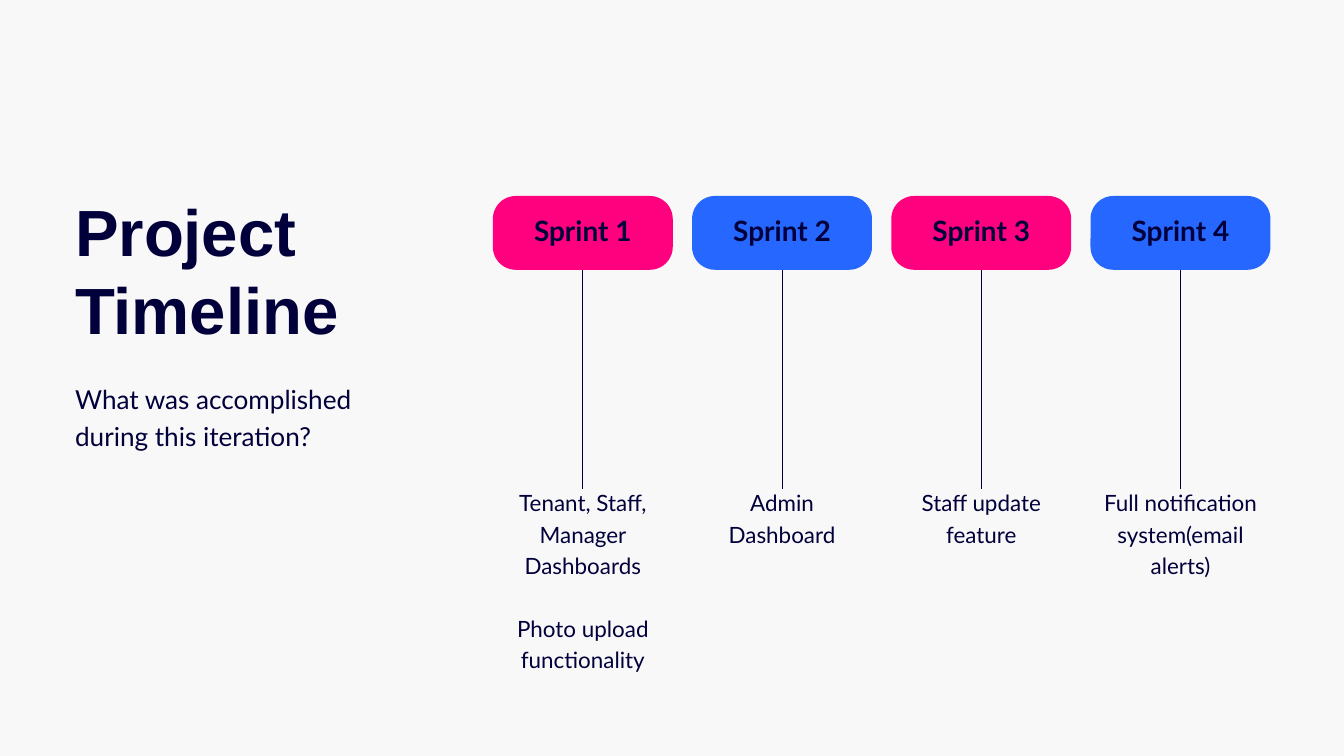
from lxml import etree
from pptx import Presentation
from pptx.dml.color import RGBColor
from pptx.enum.shapes import MSO_CONNECTOR, MSO_SHAPE
from pptx.enum.text import MSO_ANCHOR, PP_ALIGN
from pptx.oxml.ns import qn
from pptx.util import Cm, Pt

ROUNDED = MSO_SHAPE.ROUNDED_RECTANGLE
STRAIGHT = MSO_CONNECTOR.STRAIGHT
LEFT, CENTER = PP_ALIGN.LEFT, PP_ALIGN.CENTER
TOP, MIDDLE = MSO_ANCHOR.TOP, MSO_ANCHOR.MIDDLE

BACKGROUND = RGBColor(0xF8, 0xF8, 0xF8)
NAVY = RGBColor(0x01, 0x00, 0x3B)
PINK = RGBColor(0xFF, 0x00, 0x7E)
BLUE = RGBColor(0x26, 0x67, 0xFF)

TITLE = "Project Timeline"
SUBTITLE = "What was accomplished during this iteration?"
SPRINTS = [
    ("Sprint 1", PINK, ["Tenant, Staff, Manager Dashboards", "Photo upload functionality"]),
    ("Sprint 2", BLUE, ["Admin Dashboard"]),
    ("Sprint 3", PINK, ["Staff update feature"]),
    ("Sprint 4", BLUE, ["Full notification system(email alerts)"]),
]

FIRST_CENTER, PITCH = 22.03, 7.53
BADGE_TOP, BADGE_WIDTH, BADGE_HEIGHT = 7.41, 6.8, 2.79
LINE_END = 18.47
DETAIL_TOP, DETAIL_WIDTH, DETAIL_HEIGHT = 18.34, 6.05, 6.96


def write_text(shape, paragraphs, size, spacing, font="Lato", bold=False,
               align=LEFT, anchor=TOP, gap=0, insets=(0, 0, 0, 0)):
    frame = shape.text_frame
    frame.word_wrap = True
    frame.vertical_anchor = anchor
    (frame.margin_left, frame.margin_top,
     frame.margin_right, frame.margin_bottom) = [Cm(inset) for inset in insets]
    for index, text in enumerate(paragraphs):
        paragraph = frame.add_paragraph() if index else frame.paragraphs[0]
        paragraph.alignment = align
        paragraph.line_spacing = Pt(spacing)
        paragraph.space_before = Pt(gap if index else 0)
        run = paragraph.add_run()
        run.text = text
        run.font.name = font
        run.font.size = Pt(size)
        run.font.bold = bold
        run.font.color.rgb = NAVY


def add_textbox(slide, left, top, width, height):
    return slide.shapes.add_textbox(Cm(left), Cm(top), Cm(width), Cm(height))


def add_sprint(slide, center, name, color, details):
    badge = slide.shapes.add_shape(ROUNDED, Cm(center - BADGE_WIDTH / 2), Cm(BADGE_TOP),
                                   Cm(BADGE_WIDTH), Cm(BADGE_HEIGHT))
    badge.adjustments[0] = 0.31
    badge.shadow.inherit = False
    badge.fill.solid()
    badge.fill.fore_color.rgb = color
    badge.line.fill.background()
    write_text(badge, [name], 30, 42, bold=True, align=CENTER, anchor=MIDDLE,
               insets=(0.15, 0.15, 0.15, 0.56))

    stem = slide.shapes.add_connector(STRAIGHT, Cm(center), Cm(BADGE_TOP + BADGE_HEIGHT),
                                      Cm(center), Cm(LINE_END))
    stem.begin_connect(badge, 2)
    stem.line.color.rgb = NAVY
    stem.line.width = Pt(0.75)
    etree.SubElement(stem._element.spPr, qn("a:effectLst"))

    detail = add_textbox(slide, center - DETAIL_WIDTH / 2, DETAIL_TOP,
                         DETAIL_WIDTH, DETAIL_HEIGHT)
    write_text(detail, details, 24, 33.6, align=CENTER, gap=33.6)


def main():
    presentation = Presentation()
    presentation.slide_width, presentation.slide_height = Cm(50.8), Cm(28.58)
    slide = presentation.slides.add_slide(presentation.slide_layouts[6])
    slide.background.fill.solid()
    slide.background.fill.fore_color.rgb = BACKGROUND

    write_text(add_textbox(slide, 2.84, 7.21, 13.08, 5.94), [TITLE], 70, 84,
               font="Arial", bold=True)
    write_text(add_textbox(slide, 2.84, 14.3, 11.84, 2.67), [SUBTITLE], 28, 39.2)
    for index, sprint in enumerate(SPRINTS):
        add_sprint(slide, FIRST_CENTER + index * PITCH, *sprint)

    presentation.save("out.pptx")


if __name__ == "__main__":
    main()
